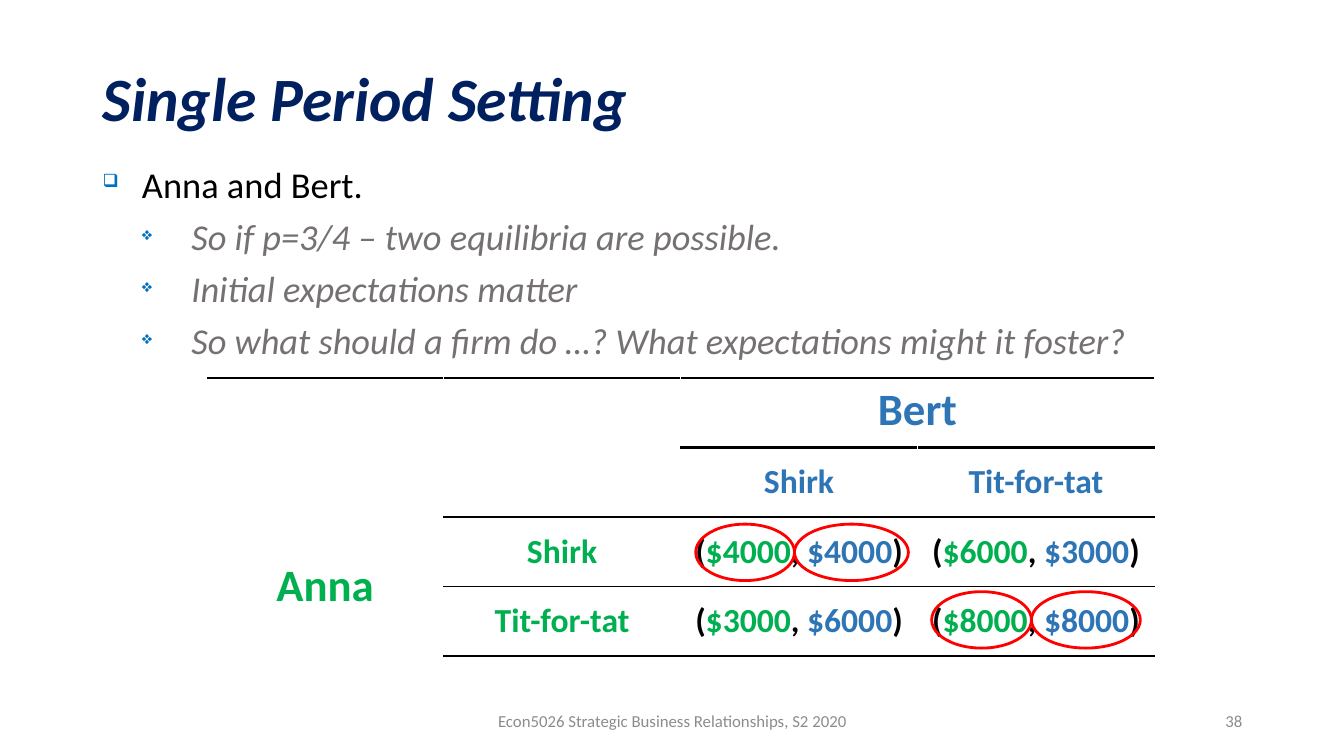
from lxml import etree
from pptx import Presentation
from pptx import util as u
from pptx.dml.color import RGBColor
from pptx.enum import shapes, text
from pptx.oxml import ns

PX = 9144
NAVY = RGBColor(0x00, 0x20, 0x60)
BLACK = RGBColor(0x00, 0x00, 0x00)
WHITE = RGBColor(0xFF, 0xFF, 0xFF)
GREY = RGBColor(0x76, 0x71, 0x71)
FOOTER_GREY = RGBColor(0x8C, 0x8C, 0x8C)
BULLET_BLUE = RGBColor(0x00, 0x70, 0xC0)
BERT_BLUE = RGBColor(0x2E, 0x75, 0xB6)
ANNA_GREEN = RGBColor(0x00, 0xB0, 0x50)
RED = RGBColor(0xFF, 0x00, 0x00)


def write(paragraph, words, size, color, bold=False, italic=False, align=text.PP_ALIGN.LEFT):
    paragraph.alignment = align
    run = paragraph.add_run()
    run.text = words
    run.font.name = "Calibri"
    run.font.size = u.Pt(size)
    run.font.color.rgb = color
    run.font.bold = bold
    run.font.italic = italic


def add_frame(left, top, width, height, anchor=text.MSO_ANCHOR.MIDDLE):
    frame = slide.shapes.add_textbox(left * PX, top * PX, width * PX, height * PX).text_frame
    frame.word_wrap = True
    frame.vertical_anchor = anchor
    return frame


deck = Presentation()
deck.slide_width = 1333 * PX
deck.slide_height = 750 * PX
slide = deck.slides.add_slide(deck.slide_layouts[6])

title = add_frame(92, 40, 1150, 121).paragraphs[0]
title.line_spacing = 0.9
write(title, "Single Period Setting", 44, NAVY, bold=True, italic=True)

points = add_frame(92, 147, 1150, 528, text.MSO_ANCHOR.TOP)
for index, (words, mark, margin, hang, color) in enumerate([
    ("Anna and Bert.", "❑", 39, 39, BLACK),
    ("So if p=3/4 – two equilibria are possible.", "❖", 88, 49, GREY),
    ("Initial expectations matter", "❖", 88, 49, GREY),
    ("So what should a firm do …? What expectations might it foster?", "❖", 88, 49, GREY),
]):
    point = points.add_paragraph() if index else points.paragraphs[0]
    props = point._p.get_or_add_pPr()
    props.set("marL", str(margin * PX))
    props.set("indent", str(-hang * PX))
    bullet_color = etree.SubElement(props, ns.qn("a:buClr"))
    etree.SubElement(bullet_color, ns.qn("a:srgbClr"), val=str(BULLET_BLUE))
    etree.SubElement(props, ns.qn("a:buSzPct"), val="50000")
    etree.SubElement(props, ns.qn("a:buChar"), char=mark)
    if index:
        point.space_before = u.Pt(6)
    else:
        point.line_spacing = 1.2
    write(point, words, 26, color, italic=index > 0)

course = add_frame(442, 695, 450, 40).paragraphs[0]
write(course, "Econ5026 Strategic Business Relationships, S2 2020", 12, FOOTER_GREY,
      align=text.PP_ALIGN.CENTER)
page = add_frame(942, 695, 300, 40).paragraphs[0]
write(page, "38", 12, FOOTER_GREY, align=text.PP_ALIGN.RIGHT)

COLUMN, ROW = 235, 69
payoffs = slide.shapes.add_table(4, 4, 205 * PX, 375 * PX, 4 * COLUMN * PX, 4 * ROW * PX).table
payoffs.first_row = False
payoffs.horz_banding = False

rules = [(0, 2.25), (2, 2.25), (1, 2.25), (1, 1.5), (0, 2.25)]
for row in range(4):
    for column in range(4):
        cell = payoffs.cell(row, column)
        cell.vertical_anchor = text.MSO_ANCHOR.MIDDLE
        cell_props = cell._tc.get_or_add_tcPr()
        borders = [("a:lnL", WHITE, 1), ("a:lnR", WHITE, 1)]
        for side, (first_column, weight) in (("a:lnT", rules[row]), ("a:lnB", rules[row + 1])):
            ruled = column >= first_column
            borders.append((side, BLACK if ruled else WHITE, weight if ruled else 1))
        for side, color, weight in borders:
            border = etree.SubElement(cell_props, ns.qn(side), w=str(u.Pt(weight)))
            border_fill = etree.SubElement(border, ns.qn("a:solidFill"))
            etree.SubElement(border_fill, ns.qn("a:srgbClr"), val=str(color))
        cell.fill.background()

payoffs.cell(0, 2).merge(payoffs.cell(0, 3))
payoffs.cell(2, 0).merge(payoffs.cell(3, 0))
payoffs.cell(0, 2).vertical_anchor = text.MSO_ANCHOR.TOP

entries = {
    (0, 2): [("Bert", 32, BERT_BLUE)],
    (2, 0): [("Anna", 32, ANNA_GREEN)],
}
for index, strategy in enumerate(["Shirk", "Tit-for-tat"]):
    entries[1, 2 + index] = [(strategy, 24, BERT_BLUE)]
    entries[2 + index, 1] = [(strategy, 24, ANNA_GREEN)]
for row, column, anna, bert in [
    (2, 2, "$4000", "$4000"), (2, 3, "$6000", "$3000"),
    (3, 2, "$3000", "$6000"), (3, 3, "$8000", "$8000"),
]:
    entries[row, column] = [("(", 24, BLACK), (anna, 24, ANNA_GREEN), (", ", 24, BLACK),
                            (bert, 24, BERT_BLUE), (")", 24, BLACK)]
for (row, column), pieces in entries.items():
    for words, size, color in pieces:
        write(payoffs.cell(row, column).text_frame.paragraphs[0], words, size, color,
              bold=True, align=text.PP_ALIGN.CENTER)

for left, top, width in [(788, 520, 113), (1023, 587, 108), (924, 587, 99), (690, 520, 98)]:
    best_reply = slide.shapes.add_shape(
        shapes.MSO_SHAPE.OVAL, left * PX, top * PX, width * PX, 56 * PX)
    best_reply.shadow.inherit = False
    best_reply.fill.background()
    best_reply.line.color.rgb = RED
    best_reply.line.width = u.Pt(2)

deck.save("out.pptx")
